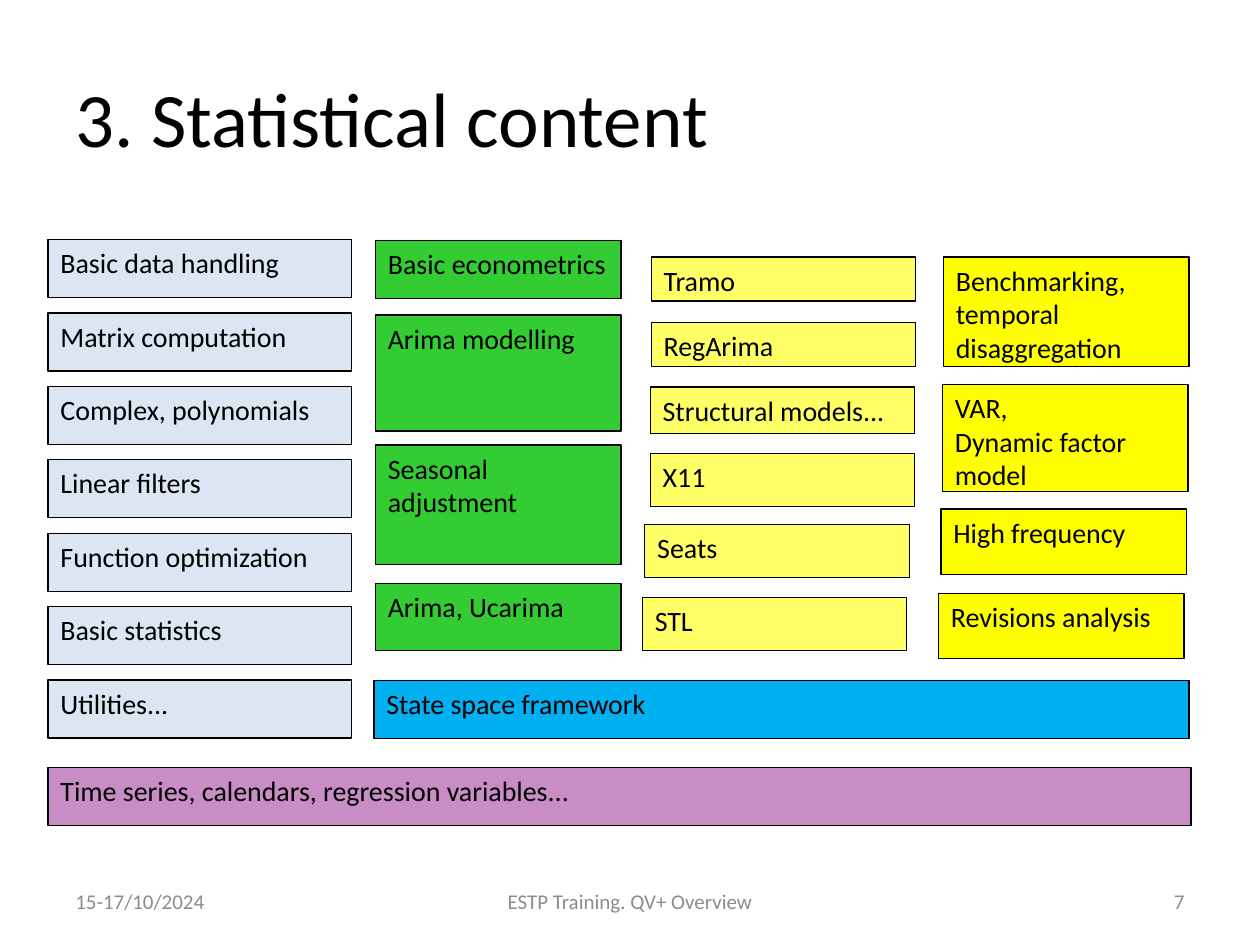
from pptx import Presentation
from pptx.dml.color import RGBColor
from pptx.enum.shapes import MSO_SHAPE
from pptx.enum.text import MSO_ANCHOR, PP_ALIGN
from pptx.util import Cm, Pt

FONT = "Calibri"
BLACK = "000000"
GREY = "8C8C8C"
BAR_H = 1.17

BASICS = ["Basic data handling", "Matrix computation", "Complex, polynomials",
          "Linear filters", "Function optimization", "Basic statistics",
          "Utilities..."]
MODELLING = [("Basic econometrics", 0, 0, BAR_H), ("Arima modelling", 0, 1.5, 2.34),
             ("Seasonal adjustment", 0, 4.12, 2.41), ("Arima, Ucarima", 0, 6.91, 1.35)]
METHODS = [("Tramo", 0, 0, 0.89), ("RegArima", 0, 1.32, 0.89),
           ("Structural models...", -0.02, 2.62, 0.94), ("X11", -0.02, 3.96, 1.07),
           ("Seats", -0.13, 5.39, 1.07), ("STL", -0.18, 6.86, 1.07)]
EXTENSIONS = [("Benchmarking, temporal disaggregation", 0, 0, 2.21),
              ("VAR,\nDynamic factor model", -0.02, 2.57, 2.16),
              ("High frequency", -0.05, 5.08, 1.32),
              ("Revisions analysis", -0.1, 6.78, 1.32)]


def rgb(color):
    return RGBColor.from_string(color)


def write(tf, text, size, color=BLACK, align=PP_ALIGN.LEFT, anchor=MSO_ANCHOR.TOP):
    tf.word_wrap = True
    tf.vertical_anchor = anchor
    for i, line in enumerate(text.split("\n")):
        p = tf.paragraphs[0] if i == 0 else tf.add_paragraph()
        p.alignment = align
        r = p.add_run()
        r.text = line
        r.font.name = FONT
        r.font.size = Pt(size)
        r.font.color.rgb = rgb(color)


def add_title(s, left, top, width, height):
    sp = s.shapes.title
    sp.left, sp.top, sp.width, sp.height = Cm(left), Cm(top), Cm(width), Cm(height)
    write(sp.text_frame, "3. Statistical content", 44, anchor=MSO_ANCHOR.MIDDLE)


def add_block(s, text, left, top, width, height, fill):
    sp = s.shapes.add_shape(MSO_SHAPE.RECTANGLE, Cm(left), Cm(top), Cm(width), Cm(height))
    sp.shadow.inherit = False
    sp.fill.solid()
    sp.fill.fore_color.rgb = rgb(fill)
    sp.line.color.rgb = rgb(BLACK)
    sp.line.width = Pt(0.75)
    write(sp.text_frame, text, 16)


def add_column(s, blocks, left, top, width, fill):
    for text, dx, dy, height in blocks:
        add_block(s, text, left + dx, top + dy, width, height, fill)


def add_footer(s, left, top, width, height):
    side, middle = 5.93, 8.04
    parts = [("15-17/10/2024", left, side, PP_ALIGN.LEFT),
             ("ESTP Training. QV+ Overview", left + (width - middle) / 2, middle,
              PP_ALIGN.CENTER),
             ("7", left + width - side, side, PP_ALIGN.RIGHT)]
    for text, x, w, align in parts:
        sp = s.shapes.add_textbox(Cm(x), Cm(top), Cm(w), Cm(height))
        write(sp.text_frame, text, 12, GREY, align, MSO_ANCHOR.MIDDLE)


def main():
    prs = Presentation()
    prs.slide_width, prs.slide_height = Cm(25.4), Cm(19.05)
    s = prs.slides.add_slide(prs.slide_layouts[5])
    add_title(s, 1.27, 0.76, 22.86, 3.18)
    basics = [(text, 0, 1.48 * i, BAR_H) for i, text in enumerate(BASICS)]
    add_column(s, basics, 0.97, 4.83, 6.12, "DCE6F2")
    add_column(s, MODELLING, 7.57, 4.85, 4.95, "33CC33")
    add_column(s, METHODS, 13.13, 5.18, 5.33, "FFFF66")
    add_column(s, EXTENSIONS, 19.02, 5.18, 4.95, "FFFF00")
    add_block(s, "State space framework", 7.54, 13.72, 16.43, BAR_H, "00B0F0")
    add_block(s, "Time series, calendars, regression variables...",
              0.97, 15.47, 23.04, BAR_H, "C98DC6")
    add_footer(s, 1.27, 17.65, 22.86, 1.02)
    prs.save("out.pptx")


if __name__ == "__main__":
    main()
